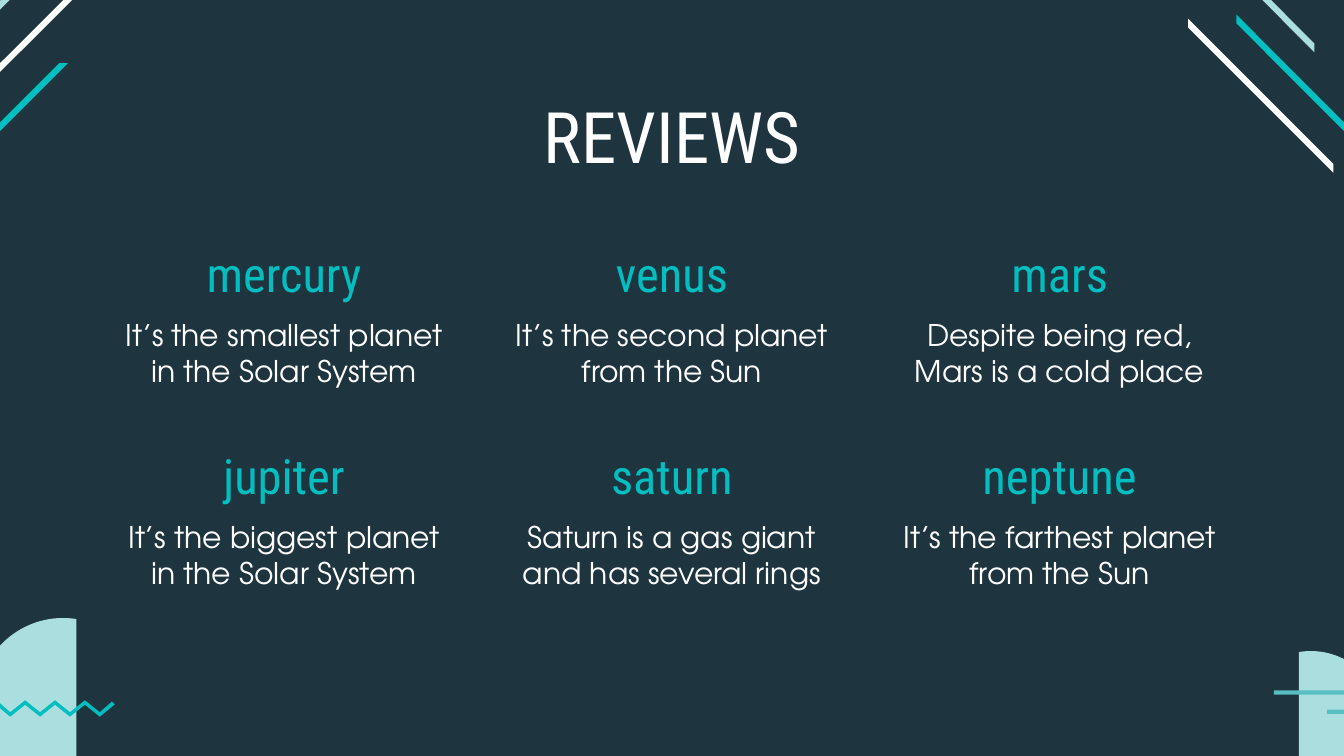
from dataclasses import dataclass
from math import acos, cos, pi, sin

from pptx import Presentation
from pptx.dml.color import RGBColor
from pptx.enum.shapes import MSO_SHAPE
from pptx.enum.text import MSO_ANCHOR, PP_ALIGN
from pptx.util import Pt

CENTER = PP_ALIGN.CENTER
TOP = MSO_ANCHOR.TOP
RECTANGLE = MSO_SHAPE.RECTANGLE


@dataclass(frozen=True)
class Theme:
    background: str = "1E343F"
    white: str = "FFFFFF"
    teal: str = "01BEC0"
    dull_teal: str = "58BEBF"
    pale: str = "ABDFDF"
    heading_font: str = "Roboto Condensed"
    body_font: str = "TeX Gyre Adventor"
    title_size: float = 38
    heading_size: float = 26
    body_size: float = 16


@dataclass(frozen=True)
class Box:
    left: float
    top: float
    width: float
    height: float

    def lengths(self):
        return Pt(self.left), Pt(self.top), Pt(self.width), Pt(self.height)


THEME = Theme()
WIDTH, HEIGHT = 720, 405

REVIEWS = [
    [("mercury", "It’s the smallest planet in the Solar System"),
     ("venus", "It’s the second planet from the Sun"),
     ("mars", "Despite being red, Mars is a cold place")],
    [("jupiter", "It’s the biggest planet in the Solar System"),
     ("saturn", "Saturn is a gas giant and has several rings"),
     ("neptune", "It’s the farthest planet from the Sun")],
]


def add_text(page, box, text, *, font, size, color, space_after=0):
    frame = page.shapes.add_textbox(*box.lengths()).text_frame
    frame.word_wrap = True
    frame.vertical_anchor = TOP
    frame.margin_left = frame.margin_right = Pt(7.2)
    frame.margin_top = frame.margin_bottom = Pt(7.2)
    para = frame.paragraphs[0]
    para.alignment = CENTER
    para.space_after = Pt(space_after)
    span = para.add_run()
    span.text = text
    span.font.name = font
    span.font.size = Pt(size)
    span.font.color.rgb = RGBColor.from_string(color)


def paint(shape, color):
    shape.shadow.inherit = False
    shape.fill.solid()
    shape.fill.fore_color.rgb = RGBColor.from_string(color)
    shape.line.fill.background()


def add_polygon(page, points, color):
    corners = [(Pt(x), Pt(y)) for x, y in points]
    builder = page.shapes.build_freeform(*corners[0])
    builder.add_line_segments(corners[1:], close=True)
    paint(builder.convert_to_shape(), color)


def add_bar(page, box, color):
    paint(page.shapes.add_shape(RECTANGLE, *box.lengths()), color)


def add_rising_stripe(page, box, color, band=4.7):
    """Diagonal from bottom left to top right, with level ends."""
    right, bottom = box.left + box.width, box.top + box.height
    add_polygon(page, [(right - band, box.top), (box.left, bottom),
                       (box.left + band, bottom), (right, box.top)], color)


def add_falling_stripe(page, box, color, band=4.7):
    """Diagonal from top left to bottom right, with upright ends."""
    right, bottom = box.left + box.width, box.top + box.height
    add_polygon(page, [(box.left, box.top), (right, bottom - band),
                       (right, bottom), (box.left, box.top + band)], color)


def add_cut_disc(page, box, cut, side, color, steps=90):
    """Disc in a square box, cut upright at a distance from its centre."""
    radius = box.width / 2
    start = acos(cut / radius)
    angles = [start + (2 * pi - 2 * start) * step / steps
              for step in range(steps + 1)]
    add_polygon(page, [(box.left + radius + side * radius * cos(angle),
                        box.top + radius + radius * sin(angle))
                       for angle in angles], color)


def add_zigzag(page, box, color, bends=7, rise=6.4, band=2.4, tip=1.5):
    step = box.width / (bends + 1)
    right = box.left + box.width
    bottom = box.top + box.height
    xs = [box.left + step * (bend + 1) for bend in range(bends)]
    # Even bends are valleys, odd bends are peaks
    lower = [(x, bottom - rise * (bend % 2)) for bend, x in enumerate(xs)]
    upper = [(x, y - band) for x, y in lower]
    tip_top = box.top + 0.7
    add_polygon(page, [(box.left + tip, tip_top), *upper,
                       (right - tip, tip_top), (right, tip_top + tip),
                       *reversed(lower), (box.left, tip_top + tip)], color)


def add_top_corners(page):
    # Left corner
    add_rising_stripe(page, Box(-46.1, -18.7, 69.9, 65.5), THEME.pale)
    add_rising_stripe(page, Box(-7.9, -36, 82.6, 77.8), THEME.white)
    add_rising_stripe(page, Box(-46.1, 33.8, 82.6, 77.8), THEME.teal)
    # Right corner
    add_falling_stripe(page, Box(636.5, 10.1, 77.8, 82.4), THEME.white)
    add_falling_stripe(page, Box(639.4, -41.8, 64.8, 69.9), THEME.pale)
    add_falling_stripe(page, Box(662.4, 7.9, 77.8, 82.6), THEME.teal)


def add_bottom_corners(page):
    # Right corner
    add_cut_disc(page, Box(663.5, 348.8, 77.6, 77.6), 6.5, -1, THEME.pale)
    for left, top, width in [(682.5, 369.8, 68), (710.8, 380.2, 47.5)]:
        add_bar(page, Box(left, top, width, 2.3), THEME.dull_teal)
    # Left corner
    add_cut_disc(page, Box(-12, 331.1, 91.6, 91.6), 7.2, 1, THEME.pale)
    add_zigzag(page, Box(-2.5, 375.2, 64, 8.8), THEME.teal)


def add_review(page, box, name, quote):
    add_text(page, Box(box.left, box.top, box.width, 48.2), name,
             font=THEME.heading_font, size=THEME.heading_size,
             color=THEME.teal)
    add_text(page, Box(box.left, box.top + 38.9, box.width, 50.4), quote,
             font=THEME.body_font, size=THEME.body_size,
             color=THEME.white, space_after=16)


def add_review_grid(page, box, rows, gap_x=14, gap_y=18.7):
    columns = len(rows[0])
    width = (box.width - gap_x * (columns - 1)) / columns
    height = (box.height - gap_y * (len(rows) - 1)) / len(rows)
    for row, reviews in enumerate(rows):
        for column, (name, quote) in enumerate(reviews):
            cell = Box(box.left + column * (width + gap_x),
                       box.top + row * (height + gap_y), width, height)
            add_review(page, cell, name, quote)


def build_reviews_page(deck):
    page = deck.slides.add_slide(deck.slide_layouts[6])
    page.background.fill.solid()
    page.background.fill.fore_color.rgb = RGBColor.from_string(
        THEME.background)
    add_top_corners(page)
    add_text(page, Box(56.2, 42.5, 607.7, 50.4), "REVIEWS",
             font=THEME.heading_font, size=THEME.title_size,
             color=THEME.white)
    add_review_grid(page, Box(55.4, 123.8, 609.2, 197.3), REVIEWS)
    add_bottom_corners(page)


def main():
    deck = Presentation()
    deck.slide_width, deck.slide_height = Pt(WIDTH), Pt(HEIGHT)
    build_reviews_page(deck)
    deck.save("out.pptx")


if __name__ == "__main__":
    main()
